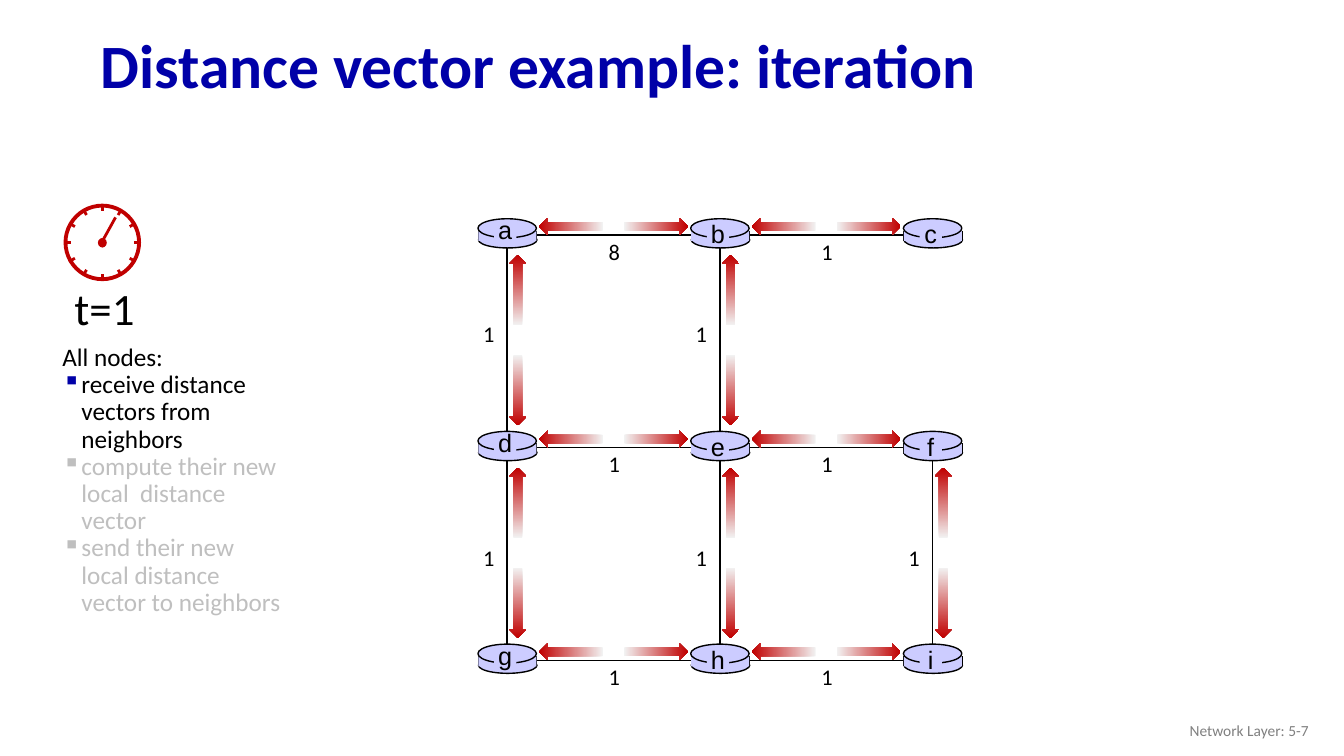
from dataclasses import dataclass
from math import cos, pi, sin

from lxml.etree import SubElement
from pptx import Presentation
from pptx.dml.color import RGBColor
from pptx.enum.shapes import MSO_CONNECTOR, MSO_SHAPE
from pptx.enum.text import MSO_ANCHOR, PP_ALIGN
from pptx.oxml.ns import qn
from pptx.util import Inches, Pt


@dataclass(frozen=True)
class Theme:
    """Colours, fonts and sizes of the deck."""
    title: str = "0000A8"
    ink: str = "000000"
    muted: str = "BFBFBF"
    footer: str = "808080"
    signal: str = "C00000"
    fade: str = "F2F2F2"
    router: str = "CCCCFF"
    body_font: str = "Calibri"
    node_font: str = "Arial"
    title_size: int = 44
    time_size: int = 32
    body_size: int = 18
    cost_size: int = 16
    footer_size: int = 11
    spacing: float = 0.9


@dataclass(frozen=True)
class Box:
    """A rectangle in inches."""
    left: float
    top: float
    width: float
    height: float

    def region(self, x, y, width, height):
        """Return an inner box given in shares of this one."""
        return Box(self.left + x * self.width, self.top + y * self.height,
                   width * self.width, height * self.height)

    def point(self, x, y):
        """Return a point given in shares of this box."""
        return self.left + x * self.width, self.top + y * self.height

    def lengths(self):
        """Return the four lengths for a new shape."""
        return [Inches(n) for n in (self.left, self.top, self.width, self.height)]


THEME = Theme()
PAGE = Box(0, 0, 13.33, 7.5)
ROUTERS = ["abc", "def", "ghi"]
ACROSS_COSTS = ["81", "11", "11"]
DOWN_COSTS = ["11", "111"]
DOWN_COST_DROPS = [0.38, 0.43]
TASKS = [
    ("receive distance vectors from neighbors", THEME.ink, THEME.title),
    ("compute their new local  distance vector", THEME.muted, THEME.muted),
    ("send their new local distance vector to neighbors", THEME.muted, THEME.muted),
]


def style(para, size, color, font=THEME.body_font, bold=False):
    """Format every run of a paragraph."""
    for span in para.runs:
        span.font.size = Pt(size)
        span.font.name = font
        span.font.bold = bold
        span.font.color.rgb = RGBColor.from_string(color)


def add_text(shapes, box, text, size, color, font=THEME.body_font, bold=False,
             wrap=True, align=PP_ALIGN.LEFT, anchor=MSO_ANCHOR.TOP):
    """Add a one-paragraph text box and return its frame."""
    frame = shapes.add_textbox(*box.lengths()).text_frame
    frame.text = text
    frame.word_wrap = wrap
    frame.vertical_anchor = anchor
    frame.paragraphs[0].alignment = align
    style(frame.paragraphs[0], size, color, font, bold)
    return frame


def add_figure(shapes, kind, box, fill=None, line=None, weight=1):
    """Add a preset shape with an optional fill and outline."""
    figure = shapes.add_shape(kind, *box.lengths())
    figure.shadow.inherit = False
    if fill:
        figure.fill.solid()
        figure.fill.fore_color.rgb = RGBColor.from_string(fill)
    else:
        figure.fill.background()
    if line:
        figure.line.color.rgb = RGBColor.from_string(line)
        figure.line.width = Pt(weight)
    else:
        figure.line.fill.background()
    return figure


def add_line(shapes, start, end, color, weight):
    """Add a straight line between two points."""
    line = shapes.add_connector(MSO_CONNECTOR.STRAIGHT,
                                *[Inches(n) for n in (*start, *end)])
    line.line.color.rgb = RGBColor.from_string(color)
    line.line.width = Pt(weight)
    SubElement(line._element.spPr, qn("a:effectLst"))


def add_arrow(shapes, center, length, rotation):
    """Add a fading arrow around a center point."""
    height = 0.17
    box = Box(center[0] - length / 2, center[1] - height / 2, length, height)
    arrow = add_figure(shapes, MSO_SHAPE.RIGHT_ARROW, box)
    arrow.fill.gradient()
    arrow.fill.gradient_angle = 0
    for stop, color, place in zip(arrow.fill.gradient_stops,
                                  (THEME.fade, THEME.signal), (0, 1)):
        stop.color.rgb = RGBColor.from_string(color)
        stop.position = place
    arrow.rotation = rotation


def add_clock(page, box):
    """Draw the clock with its twelve ticks and one hand."""
    shapes = page.shapes.add_group_shape().shapes
    add_figure(shapes, MSO_SHAPE.OVAL, box, line=THEME.signal, weight=2.75)
    for hour in range(12):
        angle = hour * pi / 6
        inner, outer = [box.point(0.5 + share * sin(angle), 0.5 - share * cos(angle))
                        for share in (0.43, 0.51)]
        add_line(shapes, inner, outer, THEME.signal, 2)
    add_figure(shapes, MSO_SHAPE.OVAL, box.region(0.44, 0.44, 0.12, 0.13), THEME.signal)
    add_line(shapes, box.point(0.68, 0.16), box.point(0.48, 0.52), THEME.signal, 2)


def add_tasks(page, box):
    """Write the bulleted tasks of all nodes."""
    frame = add_text(page.shapes, box, "All nodes:", THEME.body_size, THEME.ink)
    frame.paragraphs[0].line_spacing = THEME.spacing
    for text, color, bullet_color in TASKS:
        para = frame.add_paragraph()
        para.text = text
        para.line_spacing = THEME.spacing
        style(para, THEME.body_size, color)
        settings = para._p.get_or_add_pPr()
        settings.set("marL", str(Inches(0.19)))
        settings.set("indent", str(Inches(-0.19)))
        holder = SubElement(settings, qn("a:buClr"))
        SubElement(holder, qn("a:srgbClr")).set("val", bullet_color)
        SubElement(settings, qn("a:buChar")).set("char", "▪")


def add_router(page, box, letter, lift):
    """Draw one router as a flat cylinder with its letter."""
    shapes = page.shapes.add_group_shape().shapes
    add_figure(shapes, MSO_SHAPE.OVAL, box.region(0.01, 0.45, 1, 0.55),
               THEME.router, THEME.ink)
    for side in (0.01, 1):
        add_line(shapes, box.point(side, 0.41), box.point(side, 0.76), THEME.ink, 1)
    add_figure(shapes, MSO_SHAPE.RECTANGLE, box.region(0.01, 0.41, 0.99, 0.35), THEME.router)
    add_figure(shapes, MSO_SHAPE.OVAL, box.region(0, 0, 1, 0.65), THEME.router, THEME.ink)
    add_figure(shapes, MSO_SHAPE.RECTANGLE, box.region(0.28, 0.17, 0.38, 0.69), THEME.router)
    add_text(shapes, box.region(0.17, -0.17 - lift, 0.59, 1.38), letter, THEME.body_size,
             THEME.ink, THEME.node_font, wrap=False, align=PP_ALIGN.CENTER)


def add_edge(page, cell, cost, end, cost_at, arrows):
    """Draw one link with its cost and a pair of arrows, in shares of its cell."""
    add_line(page.shapes, cell.point(0, 0), cell.point(*end), THEME.ink, 1)
    add_text(page.shapes, Box(*cell.point(*cost_at), 0.33, 0.37), cost,
             THEME.cost_size, THEME.ink, wrap=False)
    for x, y, length, rotation in arrows:
        add_arrow(page.shapes, cell.point(x, y), length * cell.width, rotation)


def add_network(page, box):
    """Draw the grid of links, then the routers at its crossings."""
    def cell(column, row):
        """Return the grid cell that starts at a crossing."""
        return box.region(column / 2, row / 2, 0.5, 0.5)

    for row, costs in enumerate(ACROSS_COSTS):
        for column, cost in enumerate(costs):
            add_edge(page, cell(column, row), cost, (1, 0), (0.43, -0.01),
                     [(0.3, -0.04, 0.3, 180), (0.7, -0.04, 0.3, 0)])
    for row, costs in enumerate(DOWN_COSTS):
        for column, cost in enumerate(costs):
            add_edge(page, cell(column, row), cost, (0, 1),
                     (-0.16, DOWN_COST_DROPS[row]),
                     [(0.05, 0.26, 0.33, 270), (0.05, 0.73, 0.33, 90)])
    for row, letters in enumerate(ROUTERS):
        for column, letter in enumerate(letters):
            x, y = cell(column, row).point(0, 0)
            add_router(page, Box(x - 0.29, y - 0.16, 0.58, 0.29), letter,
                       0 if column else 0.14)


def build_slide(deck):
    """Lay out the title, the clock column, the network and the footer."""
    page = deck.slides.add_slide(deck.slide_layouts[6])
    title = add_text(page.shapes, Box(0.9, 0.19, 11.5, 0.98),
                     "Distance vector example: iteration", THEME.title_size,
                     THEME.title, bold=True, anchor=MSO_ANCHOR.MIDDLE)
    title.paragraphs[0].line_spacing = THEME.spacing
    add_text(page.shapes, Box(10.08, 7.05, 3, 0.4), "Network Layer: 5-7",
             THEME.footer_size, THEME.footer, align=PP_ALIGN.RIGHT,
             anchor=MSO_ANCHOR.MIDDLE)
    add_tasks(page, Box(0.52, 3.37, 2.4, 2.83))
    add_text(page.shapes, Box(0.64, 2.74, 0.81, 0.64), "t=1", THEME.time_size,
             THEME.ink, wrap=False)
    add_clock(page, Box(0.65, 2.04, 0.73, 0.73))
    add_network(page, Box(5.03, 2.33, 4.22, 4.22))


def main():
    """Build and save the deck."""
    deck = Presentation()
    deck.slide_width, deck.slide_height = Inches(PAGE.width), Inches(PAGE.height)
    build_slide(deck)
    deck.save("out.pptx")


if __name__ == "__main__":
    main()
